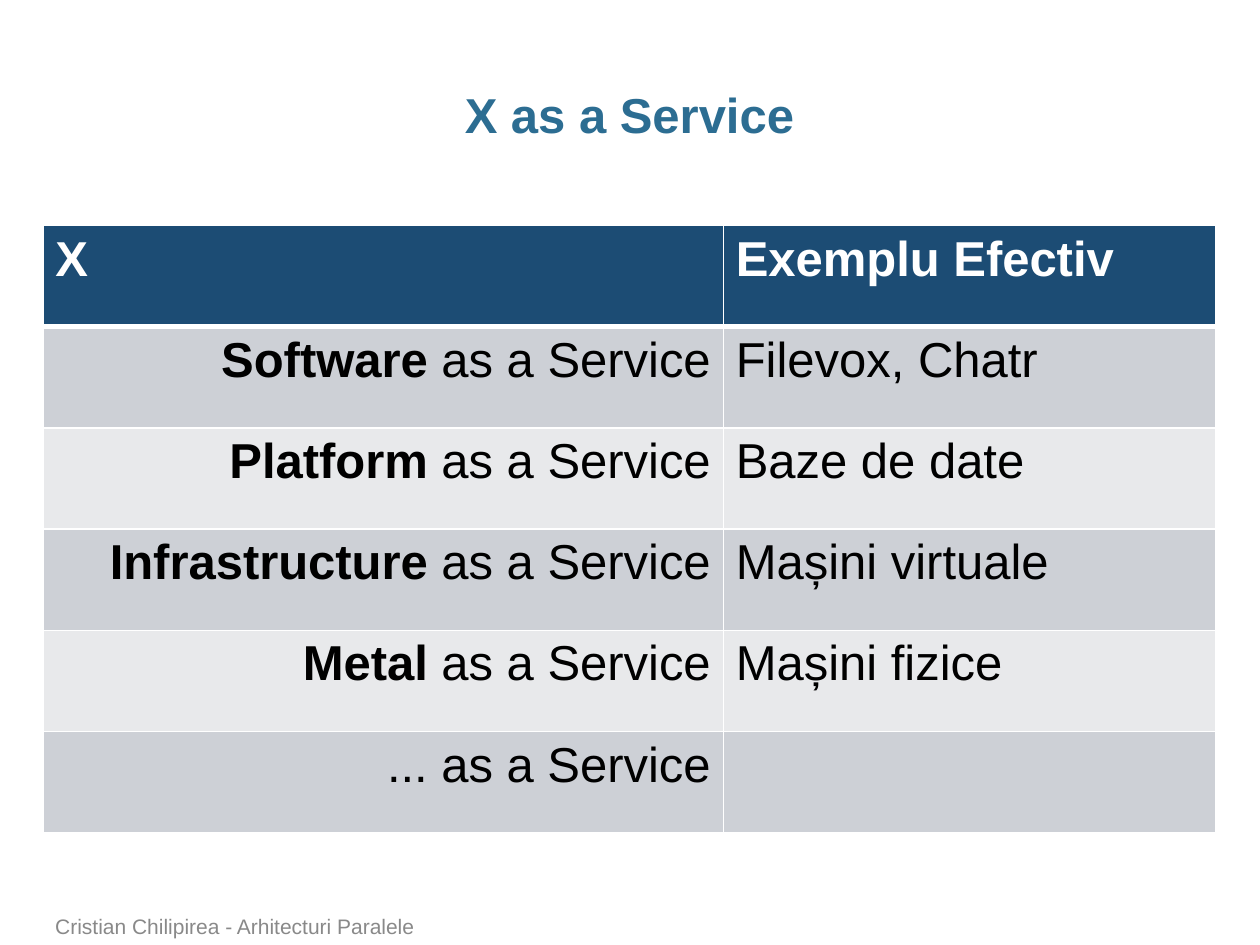
"""Build the "X as a Service" slide: a title, a two-column table and a footer."""
from lxml.etree import SubElement
from pptx import Presentation
from pptx.dml.color import RGBColor
from pptx.enum.text import MSO_ANCHOR, PP_ALIGN
from pptx.oxml.ns import qn
from pptx.util import Inches, Pt

COLORS = {
    "title": "2C6D92", "header": "1C4C74", "odd": "CDD0D6", "even": "E8E9EB",
    "white": "FFFFFF", "black": "000000", "footer": "898989",
}
LEFT, WIDTH = Inches(0.34), Inches(9.31)
SERVICES = [
    ("Software", "Filevox, Chatr"),
    ("Platform", "Baze de date"),
    ("Infrastructure", "Mașini virtuale"),
    ("Metal", "Mașini fizice"),
    ("...", ""),
]


def write(paragraph, spans, size, color, align=PP_ALIGN.LEFT):
    paragraph.alignment = align
    paragraph.font.name = "Arial"
    paragraph.font.size = Pt(size)
    paragraph.font.color.rgb = RGBColor.from_string(COLORS[color])
    for text, bold in spans:
        span = paragraph.add_run()
        span.text = text
        span.font.bold = bold


def add_border(cell, side, points):
    line = SubElement(cell._tc.get_or_add_tcPr(), qn(f"a:ln{side}"), w=str(Pt(points)))
    fill = SubElement(line, qn("a:solidFill"))
    SubElement(fill, qn("a:srgbClr"), val=COLORS["white"])


deck = Presentation()
deck.slide_width, deck.slide_height = Inches(10), Inches(7.5)
page = deck.slides.add_slide(deck.slide_layouts[6])

rows = [([("X", True)], "Exemplu Efectiv")]
for name, example in SERVICES:
    if name == "...":
        rows.append(([("... as a Service", False)], example))
    else:
        rows.append(([(name, True), (" as a Service", False)], example))

frame = page.shapes.add_table(len(rows), 2, LEFT, Inches(1.79), WIDTH, Inches(4.82))
table = frame.table
table.columns[0].width = Inches(5.4)
table.columns[1].width = WIDTH - Inches(5.4)

for number, (service, example) in enumerate(rows):
    header = number == 0
    shade = "header" if header else ("even", "odd")[number % 2]
    color = "white" if header else "black"
    for column, spans in enumerate((service, [(example, header)] if example else [])):
        cell = table.cell(number, column)
        for side in "LRTB":
            below_header = (number, side) in ((0, "B"), (1, "T"))
            add_border(cell, side, 3 if below_header else 1)
        cell.fill.solid()
        cell.fill.fore_color.rgb = RGBColor.from_string(COLORS[shade])
        align = PP_ALIGN.LEFT if header or column else PP_ALIGN.RIGHT
        write(cell.text_frame.paragraphs[0], spans, 28, color, align)

footer = page.shapes.add_textbox(LEFT, Inches(7.22), Inches(7.37), Inches(0.28)).text_frame
footer.word_wrap = True
footer.vertical_anchor = MSO_ANCHOR.BOTTOM
write(footer.paragraphs[0], [("Cristian Chilipirea - Arhitecturi Paralele", False)], 12, "footer")

title = page.shapes.add_textbox(LEFT, Inches(0.68), WIDTH, Inches(0.5)).text_frame
title.word_wrap = True
title.vertical_anchor = MSO_ANCHOR.MIDDLE
title.margin_left = title.margin_right = 0
title.paragraphs[0].line_spacing = 0.95
write(title.paragraphs[0], [("X as a Service", True)], 28, "title", PP_ALIGN.CENTER)

deck.save("out.pptx")
